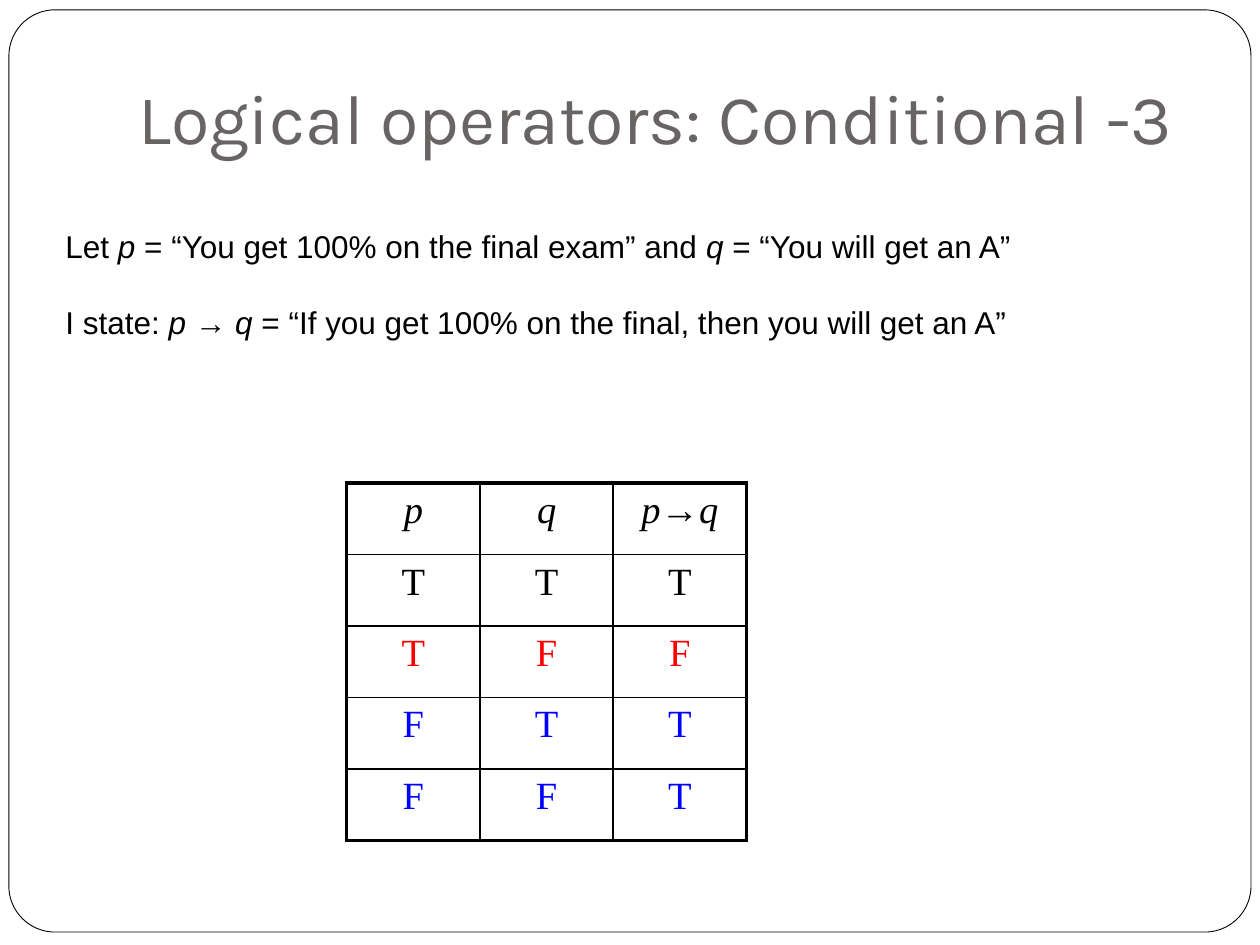
from pptx import Presentation
from pptx.dml.color import RGBColor
from pptx.enum.shapes import MSO_SHAPE
from pptx.enum.text import MSO_ANCHOR, PP_ALIGN
from pptx.oxml.xmlchemy import OxmlElement
from pptx.util import Cm, Pt

HUES = {
    "white": "FFFFFF",
    "black": "000000",
    "gray": "696464",
    "red": "FF0000",
    "blue": "0000FF",
}
THIN, THICK = 1, 2.25

# Runs are (text, italic) pairs
LINES = [
    [("Let ", False), ("p", True),
     (" = “You get 100% on the final exam” and ", False),
     ("q", True), (" = “You will get an A”", False)],
    [("I state: ", False), ("p ", True), ("→ ", False), ("q", True),
     (" = “If you get 100% on the final, then you will get an A”", False)],
]
HEAD = [[("p", True)], [("q", True)],
        [("p", True), ("→", False), ("q", True)]]
TRUTH = [("TTT", "black"), ("TFF", "red"), ("FTT", "blue"), ("FFT", "blue")]


def hue(name):
    return RGBColor.from_string(HUES[name])


def add_runs(para, runs, font, size, color):
    for text, slant in runs:
        run = para.add_run()
        run.text = text
        run.font.name = font
        run.font.size = Pt(size)
        run.font.italic = slant
        run.font.color.rgb = hue(color)


def add_frame(slide):
    frame = slide.shapes.add_shape(MSO_SHAPE.ROUNDED_RECTANGLE,
                                   Cm(0.18), Cm(0.2), Cm(25.04), Cm(18.59))
    frame.adjustments[0] = 0.05
    frame.shadow.inherit = False
    frame.fill.solid()
    frame.fill.fore_color.rgb = hue("white")
    frame.line.color.rgb = hue("black")
    frame.line.width = Pt(0.5)


def add_text(slide, box, lines, font, size, color, anchor, gap=0):
    text = slide.shapes.add_textbox(*map(Cm, box)).text_frame
    text.word_wrap = True
    text.vertical_anchor = anchor
    for i, runs in enumerate(lines):
        para = text.add_paragraph() if i else text.paragraphs[0]
        if i:
            para.space_before = Pt(gap)
        add_runs(para, runs, font, size, color)


def set_edge(cell, side, width):
    edge = OxmlElement(f"a:{side}")
    edge.set("w", str(Pt(width)))
    fill = OxmlElement("a:solidFill")
    color = OxmlElement("a:srgbClr")
    color.set("val", HUES["black"])
    fill.append(color)
    edge.append(fill)
    cell._tc.get_or_add_tcPr().append(edge)


def fill_cell(cell, runs, color, outer):
    # Borders go before the fill in the cell's XML
    for side in ("lnL", "lnR", "lnT", "lnB"):
        set_edge(cell, side, THICK if side in outer else THIN)
    cell.fill.background()
    cell.vertical_anchor = MSO_ANCHOR.TOP
    para = cell.text_frame.paragraphs[0]
    para.alignment = PP_ALIGN.CENTER
    para.space_before = Pt(5.8)
    add_runs(para, runs, "Times New Roman", 22, color)


def add_truth(slide):
    rows = [(HEAD, "black")]
    rows += [([[(mark, False)] for mark in marks], color)
             for marks, color in TRUTH]
    high, wide = len(rows), len(HEAD)
    table = slide.shapes.add_table(high, wide, Cm(6.99), Cm(9.74),
                                   Cm(8.06), Cm(7.2)).table
    table.first_row = table.horz_banding = False
    for r, (cells, color) in enumerate(rows):
        for c, runs in enumerate(cells):
            ends = {"lnL": c == 0, "lnR": c == wide - 1,
                    "lnT": r == 0, "lnB": r == high - 1}
            outer = [side for side, end in ends.items() if end]
            fill_cell(table.cell(r, c), runs, color, outer)


def main():
    deck = Presentation()
    deck.slide_width, deck.slide_height = Cm(25.4), Cm(19.05)
    slide = deck.slides.add_slide(deck.slide_layouts[6])

    # Frame and title
    add_frame(slide)
    add_text(slide, (2.54, 0.76, 21.59, 3.18),
             [[("Logical operators: Conditional -3", False)]],
             "Karla", 40, "gray", MSO_ANCHOR.MIDDLE)

    # Statements
    add_text(slide, (1.07, 4.45, 22.66, 4.11), LINES,
             "Arial", 18, "black", MSO_ANCHOR.TOP, gap=22)

    # Truth table
    add_truth(slide)
    deck.save("out.pptx")


if __name__ == "__main__":
    main()
